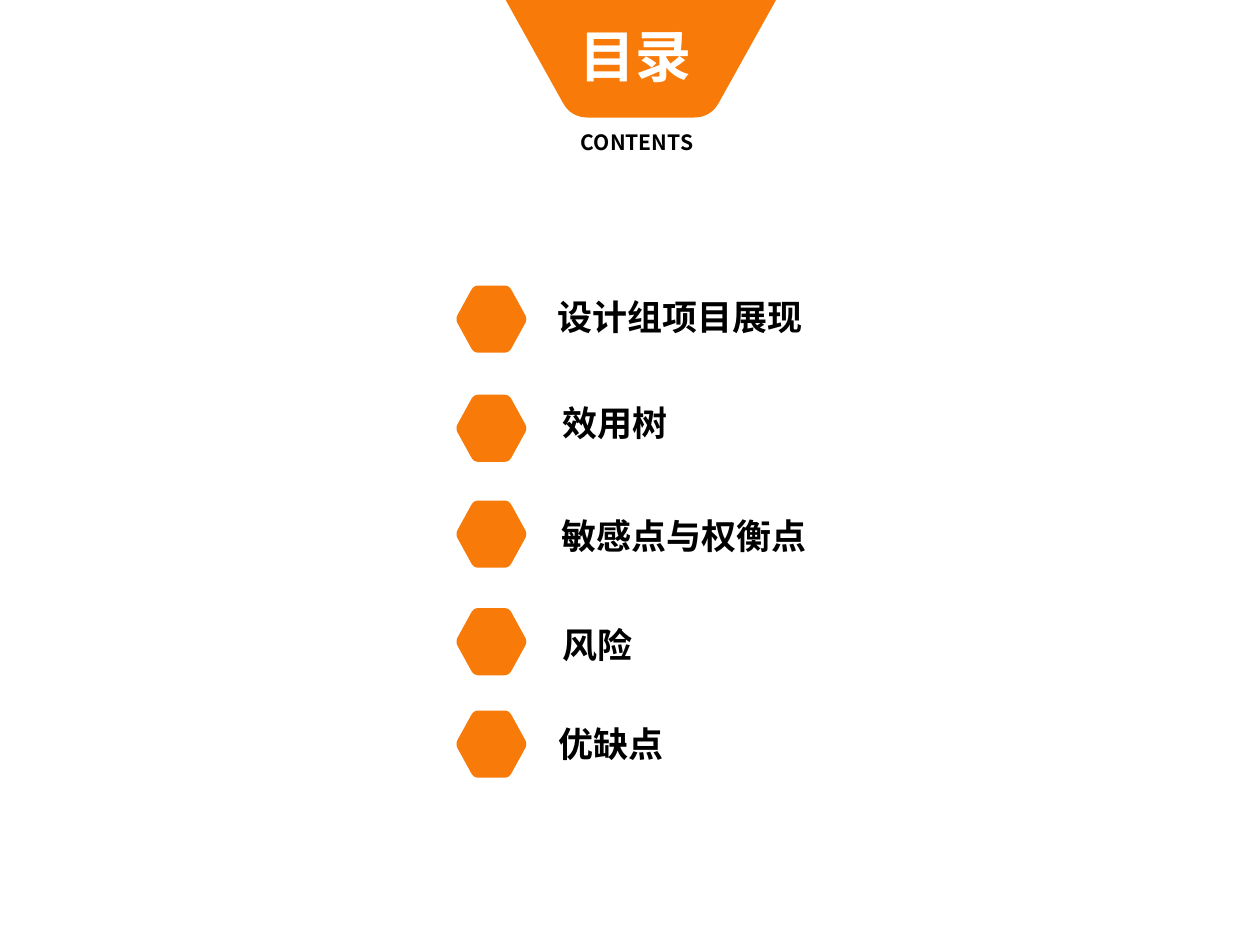
"""Builds a contents slide with a banner and five hexagon-marked entries."""
import pptx
import pptx.dml.color
import pptx.enum.text
import pptx.util

WIDTH = 7.5
HEIGHT = WIDTH * 3 / 4
FONT = "Noto Sans CJK SC"
ORANGE = pptx.dml.color.RGBColor(0xF8, 0x7A, 0x08)
WHITE = pptx.dml.color.RGBColor(0xFF, 0xFF, 0xFF)
BLACK = pptx.dml.color.RGBColor(0x00, 0x00, 0x00)
LEFT = pptx.enum.text.PP_ALIGN.LEFT
CENTER = pptx.enum.text.PP_ALIGN.CENTER

TITLE = ("目录", (3.34, 0.08, 0.88, 0.5))
SUBTITLE = ("CONTENTS", (3.36, 0.72, 0.91, 0.25))
ENTRIES = [
    ("设计组项目展现", 1.70, (3.21, 1.73, 1.68)),
    ("效用树", 2.35, (2.98, 2.36, 1.36)),
    ("敏感点与权衡点", 2.98, (3.25, 3.03, 1.64)),
    ("风险", 3.62, (3.13, 3.68, 0.86)),
    ("优缺点", 4.23, (3.21, 4.27, 0.86)),
]
LABEL_HEIGHT = 0.31
LABEL_INSETS = (0.06, 0.03)
BANNER = [(3.01, 0, 0), (4.62, 0, 0), (4.23, 0.7, 0.1), (3.4, 0.7, 0.1)]
HEXAGON_LEFT, HEXAGON_WIDTH, HEXAGON_HEIGHT = 2.71, 0.43, 0.4
HEXAGON_SLANT, HEXAGON_TRIM = 0.11, 0.03
CURVE_STEPS = 8


def toward(start, end, distance):
    dx, dy = end[0] - start[0], end[1] - start[1]
    share = distance / (dx * dx + dy * dy) ** 0.5
    return start[0] + dx * share, start[1] + dy * share


def rounded_outline(corners):
    points = []
    for index, corner in enumerate(corners):
        x, y, trim = corner
        if not trim:
            points.append((x, y))
            continue
        entry = toward(corner, corners[index - 1], trim)
        leave = toward(corner, corners[(index + 1) % len(corners)], trim)
        for step in range(CURVE_STEPS + 1):
            t = step / CURVE_STEPS
            points.append(tuple(
                (1 - t) ** 2 * a + 2 * t * (1 - t) * b + t * t * c
                for a, b, c in zip(entry, (x, y), leave)))
    return points


def add_outline(slide, corners):
    points = [tuple(pptx.util.Inches(value) for value in point)
              for point in rounded_outline(corners)]
    builder = slide.shapes.build_freeform(*points[0])
    builder.add_line_segments(points[1:], close=True)
    outline = builder.convert_to_shape()
    outline.shadow.inherit = False
    outline.fill.solid()
    outline.fill.fore_color.rgb = ORANGE
    outline.line.fill.background()


def hexagon_corners(top):
    right, bottom = HEXAGON_LEFT + HEXAGON_WIDTH, top + HEXAGON_HEIGHT
    middle = top + HEXAGON_HEIGHT / 2
    inner_left, inner_right = HEXAGON_LEFT + HEXAGON_SLANT, right - HEXAGON_SLANT
    return [(x, y, HEXAGON_TRIM) for x, y in (
        (inner_left, top), (inner_right, top), (right, middle),
        (inner_right, bottom), (inner_left, bottom), (HEXAGON_LEFT, middle))]


def add_text(slide, text, place, size, color, align, wrap=False, insets=(0.1, 0.05)):
    frame = slide.shapes.add_textbox(*map(pptx.util.Inches, place)).text_frame
    frame.word_wrap = wrap
    frame.auto_size = pptx.enum.text.MSO_AUTO_SIZE.SHAPE_TO_FIT_TEXT
    frame.margin_left = frame.margin_right = pptx.util.Inches(insets[0])
    frame.margin_top = frame.margin_bottom = pptx.util.Inches(insets[1])
    paragraph = frame.paragraphs[0]
    paragraph.text = text
    paragraph.alignment = align
    paragraph.font.name = FONT
    paragraph.font.size = pptx.util.Pt(size)
    paragraph.font.bold = True
    paragraph.font.color.rgb = color


def main():
    deck = pptx.Presentation()
    deck.slide_width = pptx.util.Inches(WIDTH)
    deck.slide_height = pptx.util.Inches(HEIGHT)
    slide = deck.slides.add_slide(deck.slide_layouts[6])
    add_text(slide, *SUBTITLE, 9, BLACK, LEFT)
    add_outline(slide, BANNER)
    add_text(slide, *TITLE, 24, WHITE, CENTER)
    for label, hexagon_top, label_place in ENTRIES:
        add_outline(slide, hexagon_corners(hexagon_top))
        add_text(slide, label, (*label_place, LABEL_HEIGHT), 15, BLACK, CENTER,
                 wrap=True, insets=LABEL_INSETS)
    deck.save("out.pptx")


if __name__ == "__main__":
    main()
